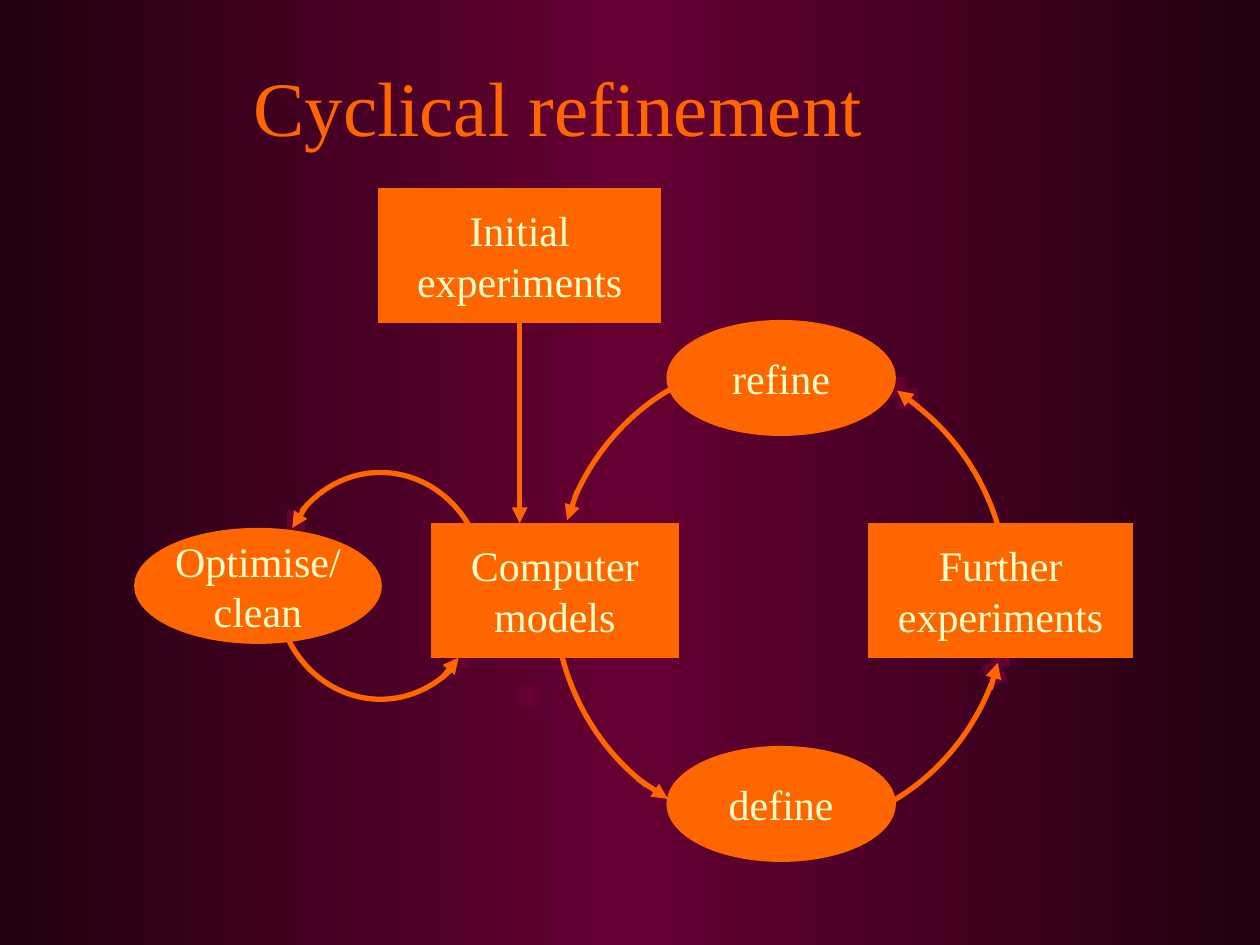
from copy import deepcopy

from lxml import etree
from pptx import Presentation
from pptx import util as u
from pptx.dml.color import RGBColor
from pptx.enum import shapes, text
from pptx.oxml.ns import qn

ORANGE, CREAM, PLUM, DARK = "FF6600", "FFFFCC", "660033", "220011"
FONT = "Times New Roman"
RECT, OVAL = shapes.MSO_SHAPE.RECTANGLE, shapes.MSO_SHAPE.OVAL

RINGS = [(316.8, 205.2, 259.2, 270), (157.7, 270, 119.5, 129.6)]
GAPS = [
    (297.4, 392.4, 10, 10.8, 0), (506.9, 216, 10, 10.8, 0),
    (164.2, 291.6, 10, 10.8, 0), (257, 370.8, 10, 10.8, 0),
    (319, 288, 10, 10.8, 0), (566.6, 369.4, 10, 10.8, 0),
    (376.6, 450, 10, 10.8, 0), (320.4, 285.1, 12.2, 10, 72),
    (512.6, 222.5, 11.5, 10.8, 175.4), (562.3, 380.2, 12.2, 9.4, 245.3),
    (369.4, 447.1, 11.5, 10.8, 351.9),
]
ARROWS = [
    (297, 183.6, 297, 299), (175.7, 288, 167, 301.7),
    (252.7, 387.4, 262.1, 375.8), (329.8, 280.8, 324, 297.4),
    (524.9, 232.6, 512.6, 223.2), (565.9, 393.8, 570.2, 378.7),
    (364.3, 445, 381.6, 456.5),
]
NODES = [
    (RECT, (217, 108, 160, 75.6), ["Initial", "experiments"]),
    (OVAL, (381.6, 183.6, 129.6, 64.8), ["refine"]),
    (OVAL, (77.4, 302.4, 140, 64.8), ["Optimise/", "clean"]),
    (RECT, (247, 299.5, 140, 75.6), ["Computer", "models"]),
    (OVAL, (381.6, 427, 129.6, 64.8), ["define"]),
    (RECT, (496.8, 299.5, 150, 75.6), ["Further", "experiments"]),
]


def rgb(value):
    """Turn a hex string into a colour."""
    return RGBColor.from_string(value)


def add_text(p, words, size, color):
    """Add one formatted run to a paragraph."""
    r = p.add_run()
    r.text = words
    r.font.name, r.font.size = FONT, u.Pt(size)
    r.font.color.rgb = rgb(color)


def add_background(s):
    """Fill the slide with a dark-plum-dark horizontal gradient."""
    fill = s.background.fill
    fill.gradient()
    fill.gradient_angle = 0
    first = s.background._cSld.find(".//" + qn("a:gs"))
    first.addnext(deepcopy(first))
    stops = zip(fill.gradient_stops, (0, 0.5, 1), (DARK, PLUM, DARK))
    for stop, position, color in stops:
        stop.position = position
        stop.color.rgb = rgb(color)


def add_title(s, box, words):
    """Place the title placeholder in the box, on one line."""
    sp = s.shapes.title
    sp.left, sp.top, sp.width, sp.height = map(u.Pt, box)
    tf = sp.text_frame
    tf.word_wrap = False
    tf.auto_size = text.MSO_AUTO_SIZE.NONE
    tf.vertical_anchor = text.MSO_ANCHOR.TOP
    tf.margin_right = u.Pt(0)
    p = tf.paragraphs[0]
    p.alignment = text.PP_ALIGN.LEFT
    add_text(p, words, 44, ORANGE)


def add_shape(s, kind, box, fill, line, width):
    """Add a flat sharp-cornered shape, unfilled when fill is None."""
    sp = s.shapes.add_shape(kind, *map(u.Pt, box))
    sp.shadow.inherit = False
    if fill:
        sp.fill.solid()
        sp.fill.fore_color.rgb = rgb(fill)
    else:
        sp.fill.background()
    sp.line.color.rgb = rgb(line)
    sp.line.width = u.Pt(width)
    etree.SubElement(sp.line._get_or_add_ln(), qn("a:miter"), lim="800000")
    return sp


def add_node(s, kind, box, lines):
    """Add a filled step with one centred paragraph per line."""
    tf = add_shape(s, kind, box, ORANGE, ORANGE, 1.5).text_frame
    tf.word_wrap = False
    tf.vertical_anchor = text.MSO_ANCHOR.MIDDLE
    for i, words in enumerate(lines):
        p = tf.add_paragraph() if i else tf.paragraphs[0]
        p.alignment = text.PP_ALIGN.CENTER
        add_text(p, words, 24, CREAM)


def add_arrow(s, ends):
    """Add a straight arrow between two points."""
    c = s.shapes.add_connector(shapes.MSO_CONNECTOR.STRAIGHT, *map(u.Pt, ends))
    c.line.color.rgb = rgb(ORANGE)
    c.line.width = u.Pt(3)
    etree.SubElement(c.line._get_or_add_ln(), qn("a:tailEnd"), type="triangle")
    etree.SubElement(c._element.spPr, qn("a:effectLst"))


def add_cycle(s):
    """Draw the rings, their gaps, the arrows and the steps."""
    for box in RINGS:
        add_shape(s, OVAL, box, None, ORANGE, 3)
    for *box, angle in GAPS:
        add_shape(s, RECT, box, PLUM, PLUM, 0.75).rotation = angle
    for ends in ARROWS:
        add_arrow(s, ends)
    for node in NODES:
        add_node(s, *node)


def main():
    """Build and save the slide."""
    prs = Presentation()
    prs.slide_width, prs.slide_height = u.Pt(720), u.Pt(540)
    s = prs.slides.add_slide(prs.slide_layouts[5])
    add_background(s)
    add_title(s, (137.5, 30.2, 363, 59.8), "Cyclical refinement")
    add_cycle(s)
    prs.save("out.pptx")


if __name__ == "__main__":
    main()
